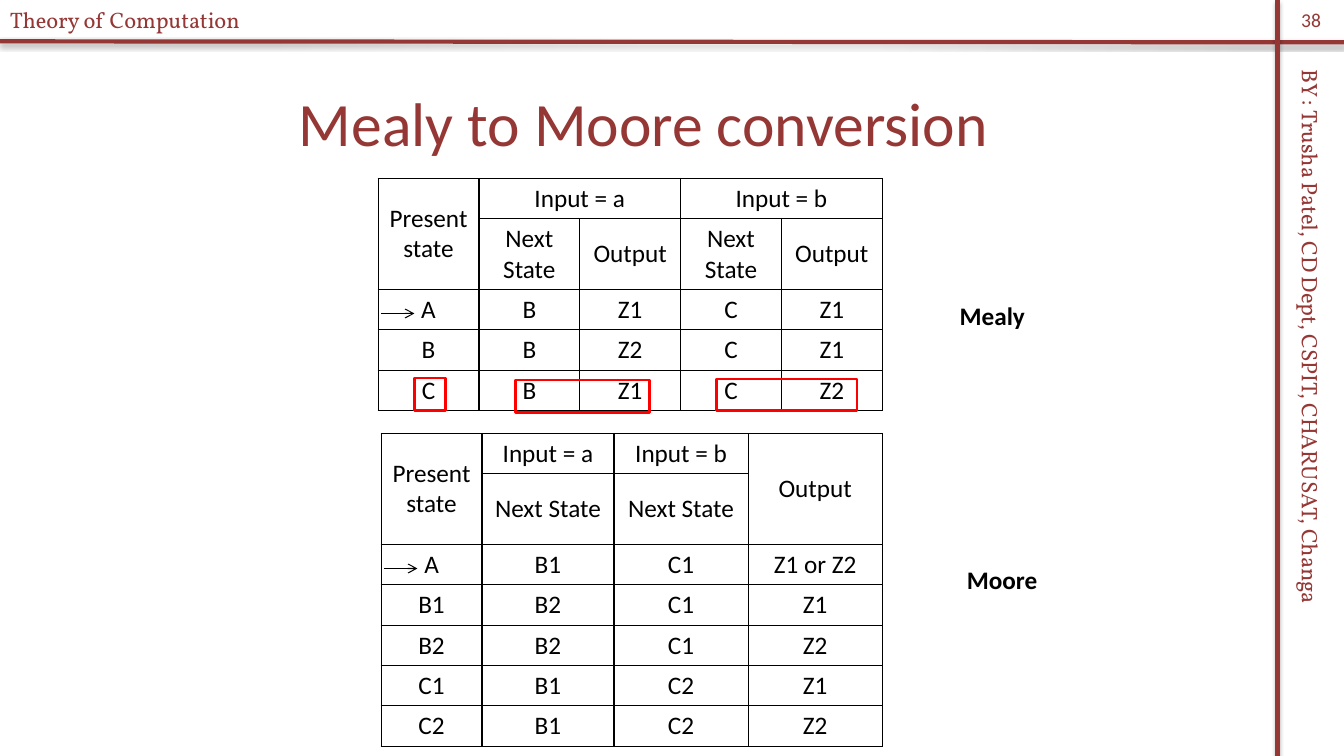
from lxml import etree
from pptx import Presentation
from pptx.dml.color import RGBColor
from pptx.enum.shapes import MSO_CONNECTOR as CONNECTOR, MSO_SHAPE as SHAPE
from pptx.enum.text import MSO_ANCHOR as ANCHOR, PP_ALIGN as ALIGN
from pptx.oxml import parse_xml
from pptx.oxml.ns import nsdecls, qn
from pptx.util import Inches, Pt

MAROON = RGBColor(0x95, 0x37, 0x35)
BLACK = RGBColor(0, 0, 0)
RED = RGBColor(0xFF, 0, 0)

SHADOW = (f'<a:effectLst {nsdecls("a")}><a:outerShdw blurRad="39400" dist="23000" dir="5400000" '
          'rotWithShape="0"><a:srgbClr val="000000"><a:alpha val="35000"/></a:srgbClr>'
          '</a:outerShdw></a:effectLst>')
BORDER = ('<a:{side} {ns} w="12700"><a:solidFill><a:srgbClr val="000000"/></a:solidFill>'
          '</a:{side}>')


def write(frame, text, size, color, font="Calibri", bold=False, align=ALIGN.LEFT):
    frame.text = text
    frame.word_wrap = True
    for para in frame.paragraphs:
        para.alignment = align
        for span in para.runs:
            span.font.name = font
            span.font.size = Pt(size)
            span.font.bold = bold
            span.font.color.rgb = color


def add_line(x1, y1, x2, y2, color, width):
    line = page.shapes.add_connector(CONNECTOR.STRAIGHT, Inches(x1), Inches(y1),
                                     Inches(x2), Inches(y2))
    line.line.color.rgb = color
    line.line.width = Pt(width)
    return line


deck = Presentation()
deck.slide_width, deck.slide_height = Inches(13.33), Inches(7.5)
page = deck.slides.add_slide(deck.slide_layouts[5])

# Frame rules with a soft shadow
for ends in [(0, 0.41, 13.33, 0.42), (12.67, 0, 12.67, 7.5)]:
    rule = add_line(*ends, MAROON, 3)
    rule._element.spPr.append(parse_xml(SHADOW))

# Title
title = page.shapes.title
title.left, title.top, title.width, title.height = map(Inches, (0.22, 0.58, 12.33, 1.25))
title.text_frame.vertical_anchor = ANCHOR.MIDDLE
write(title.text_frame, "Mealy to Moore conversion", 44, MAROON, align=ALIGN.CENTER)

# Header, side credit, page number and table labels
labels = [
    ("BY : Trusha Patel, CD Dept, CSPIT, CHARUSAT, Changa", (9.79, 3.62, 6.42, 0.37), 90,
     dict(size=16, color=MAROON, font="Vollkorn")),
    ("Theory of Computation", (0, 0.01, 3.29, 0.37), 0,
     dict(size=16, color=MAROON, font="Vollkorn")),
    ("38", (12.67, 0, 0.67, 0.4), 0, dict(size=14, color=MAROON, align=ALIGN.CENTER)),
    ("Mealy", (9.42, 2.93, 0.95, 0.4), 0, dict(size=18, color=BLACK, bold=True)),
    ("Moore", (9.49, 5.55, 0.95, 0.4), 0, dict(size=18, color=BLACK, bold=True)),
]
for text, place, turn, style in labels:
    box = page.shapes.add_textbox(*map(Inches, place))
    box.rotation = turn
    box.text_frame.vertical_anchor = ANCHOR.MIDDLE
    write(box.text_frame, text, **style)

# State tables: position, column widths, merged ranges, rows (None is a merged cell)
mealy_rows = [
    ["Present state", "Input = a", None, "Input = b", None],
    [None, "Next State", "Output", "Next\nState", "Output"],
    ["A", "B", "Z1", "C", "Z1"],
    ["B", "B", "Z2", "C", "Z1"],
    ["C", "B", "Z1", "C", "Z2"],
]
moore_rows = [
    ["Present state", "Input = a", "Input = b", "Output"],
    [None, "Next State", "Next State", None],
    ["A", "B1", "C1", "Z1 or Z2"],
    ["B1", "B2", "C1", "Z1"],
    ["B2", "B2", "C1", "Z2"],
    ["C1", "B1", "C2", "Z1"],
    ["C2", "B1", "C2", "Z2"],
]
tables = [
    (3.75, 1.77, [1] * 5, [(0, 0, 1, 0), (0, 1, 0, 2), (0, 3, 0, 4)], mealy_rows),
    (3.78, 4.3, [1, 1.31, 1.33, 1.33], [(0, 0, 1, 0), (0, 3, 1, 3)], moore_rows),
]
for left, top, widths, merges, rows in tables:
    heights = [0.4, 0.7] + [0.4] * (len(rows) - 2)
    table = page.shapes.add_table(len(rows), len(widths), Inches(left), Inches(top),
                                  Inches(sum(widths)), Inches(sum(heights))).table
    table.first_row = table.horz_banding = False
    for column, width in zip(table.columns, widths):
        column.width = Inches(width)
    for row, height in zip(table.rows, heights):
        row.height = Inches(height)
    for r1, c1, r2, c2 in merges:
        table.cell(r1, c1).merge(table.cell(r2, c2))
    for r, values in enumerate(rows):
        for c, value in enumerate(values):
            cell = table.cell(r, c)
            cell.fill.background()
            cell.vertical_anchor = ANCHOR.MIDDLE
            if value:
                write(cell.text_frame, value, 18, BLACK, align=ALIGN.CENTER)
            properties = cell._tc.get_or_add_tcPr()
            for i, side in enumerate(["lnL", "lnR", "lnT", "lnB"]):
                properties.insert(i, parse_xml(BORDER.format(side=side, ns=nsdecls("a"))))

# Start-state arrows
for x, y in [(3.78, 3.11), (3.81, 5.64)]:
    arrow = add_line(x, y, x + 0.33, y, BLACK, 0.75)
    etree.SubElement(arrow.line._get_or_add_ln(), qn("a:tailEnd"), type="arrow")
    etree.SubElement(arrow._element.spPr, qn("a:effectLst"))

# Red marks around state C and its transitions
for place in [(4.11, 3.75, 0.31, 0.32), (5.11, 3.77, 1.33, 0.32), (7.11, 3.76, 1.39, 0.31)]:
    mark = page.shapes.add_shape(SHAPE.RECTANGLE, *map(Inches, place))
    mark.fill.background()
    mark.line.color.rgb = RED
    mark.line.width = Pt(2)
    mark.shadow.inherit = False

deck.save("out.pptx")
